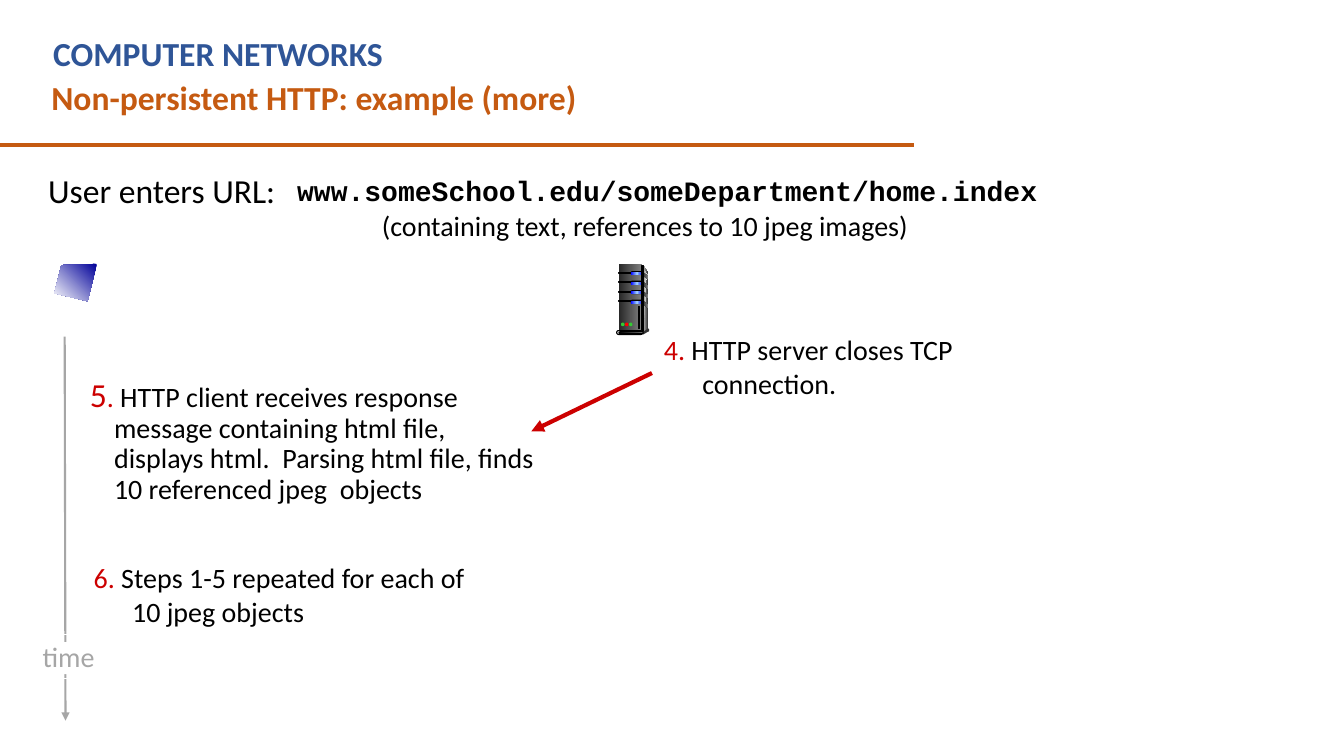
"""Build the slide on the last steps of a non-persistent HTTP exchange."""
from lxml.etree import SubElement
from pptx import Presentation
from pptx.dml.color import RGBColor
from pptx.enum.shapes import MSO_CONNECTOR, MSO_SHAPE
from pptx.enum.text import MSO_ANCHOR, MSO_AUTO_SIZE, PP_ALIGN
from pptx.oxml.ns import qn
from pptx.util import Cm, Pt

BLACK, WHITE, RED, GREY = "000000", "FFFFFF", "CC0000", "A6A6A6"
ORANGE, BLUE, DARK, GREEN = "C55A11", "2F5597", "333333", "33CC33"
METAL = ("292929", "808080")

TITLE = ("Non-persistent HTTP: example (more)", (1.04, 1.8, 22.23, 1.27))
COURSE = ("COMPUTER NETWORKS", (1.09, 0.71, 20.83, 1.27))
PROMPT = ("User enters URL:", (0.58, 4.27, 22.07, 1.3))
CONTENTS = ("(containing text, references to 10 jpeg images)", (7.39, 5.13, 17.73, 1.12))
URL = ("www.someSchool.edu/someDepartment/home.index", (7.24, 4.37, 22.07, 1.3))
TIME = ("time", (0.79, 15.98, 1.88, 1.12))
TIME_GAP = (0.76, 16.18, 1.83, 0.81)

STEP_5 = ([("5", 24, RED), (".", 20, RED),
           (" HTTP client receives response message containing html file, "
            "displays html.  Parsing html file, finds 10 referenced jpeg  objects", 20, BLACK)],
          (1.63, 9.4, 12.14, 5.59))
SIDE_STEPS = [
    ([("6.", 20, RED), (" Steps 1-5 repeated for each of 10 jpeg objects", 20, BLACK)],
     (2.11, 14, 10.59, 1.85)),
    ([("4.", 20, RED), (" HTTP server closes TCP connection.", 20, BLACK)],
     (16.48, 8.26, 10.59, 2.03)),
]

LINES = [
    ((0, 3.66, 23.04, 3.66), ORANGE, 3, False),
    ((16.43, 9.4, 13.39, 10.87), RED, 3, True),
    ((1.63, 8.48, 1.65, 18.16), GREY, 1.5, True),
]

SCREEN = [(2.44, 6.65), (1.55, 6.68), (1.37, 7.39), (2.21, 7.59)]
SERVER_SIDE = [(16.21, 6.68), (16.33, 6.88), (16.33, 8.28), (16.18, 8.36)]
SERVER_PANEL = [(16.21, 6.78), (16.31, 6.91), (16.21, 8.31)]
SERVER_FOOT = [(16.21, 8.36), (16.21, 8.43), (16.33, 8.36), (16.33, 8.28)]
BAY_TOP, BAY_STEP, BAY_COUNT = 6.86, 0.24, 4
LAMPS = [GREEN, "FF0000", GREEN]


def color(value):
    return RGBColor.from_string(value)


def paint(shape, fill=None, line=None, angle=0):
    """Fill with one colour or an even gradient, and outline if asked."""
    shape.shadow.inherit = False
    if fill is None:
        shape.fill.background()
    elif isinstance(fill, str):
        shape.fill.solid()
        shape.fill.fore_color.rgb = color(fill)
    else:
        shape.fill.gradient()
        shape.fill.gradient_angle = (360 - angle) % 360
        stops = shape._element.spPr.find(qn("a:gradFill")).find(qn("a:gsLst"))
        for stop in list(stops):
            stops.remove(stop)
        for index, value in enumerate(fill):
            position = str(100000 * index // (len(fill) - 1))
            stop = SubElement(stops, qn("a:gs"), pos=position)
            SubElement(stop, qn("a:srgbClr"), val=value)
    if line:
        shape.line.color.rgb = color(line)
        shape.line.width = Pt(0.75)
    else:
        shape.line.fill.background()


def add_part(shapes, kind, box, fill=None, line=None):
    shape = shapes.add_shape(kind, *map(Cm, box))
    if kind == MSO_SHAPE.ROUNDED_RECTANGLE:
        shape.adjustments[0] = 0.5
    paint(shape, fill, line)
    return shape


def add_outline(shapes, points, fill, angle=0):
    corners = [(Cm(x), Cm(y)) for x, y in points]
    builder = shapes.build_freeform(*corners[0])
    builder.add_line_segments(corners[1:], close=True)
    paint(builder.convert_to_shape(), fill, angle=angle)


def add_line(shapes, ends, line, width, arrow):
    connector = shapes.add_connector(MSO_CONNECTOR.STRAIGHT, *map(Cm, ends))
    connector.line.color.rgb = color(line)
    connector.line.width = Pt(width)
    if arrow:
        SubElement(connector.line._get_or_add_ln(), qn("a:tailEnd"), type="triangle")
    SubElement(connector._element.spPr, qn("a:effectLst"))


def write(shape, runs, box, hang=None, spacing=1.0, bold=False,
          font="Calibri", align=PP_ALIGN.LEFT, wrap=True):
    """Place a text shape and write its single paragraph of runs."""
    shape.left, shape.top, shape.width, shape.height = map(Cm, box)
    frame = shape.text_frame
    frame.auto_size = MSO_AUTO_SIZE.NONE
    frame.word_wrap = wrap
    frame.vertical_anchor = MSO_ANCHOR.TOP
    paragraph = frame.paragraphs[0]
    properties = paragraph._p.get_or_add_pPr()
    margin, indent = hang or (0, 0)
    properties.set("marL", str(Cm(margin)))
    properties.set("indent", str(Cm(indent)))
    SubElement(properties, qn("a:buNone"))
    paragraph.alignment = align
    paragraph.line_spacing = spacing
    paragraph.space_before = Pt(0)
    paragraph.font.name = font
    paragraph.font.bold = bold
    same_size = len({size for _, size, _ in runs}) == 1
    same_color = len({value for _, _, value in runs}) == 1
    if same_size:
        paragraph.font.size = Pt(runs[0][1])
    if same_color:
        paragraph.font.color.rgb = color(runs[0][2])
    for text, size, value in runs:
        run = paragraph.add_run()
        run.text = text
        if not same_size:
            run.font.size = Pt(size)
        if not same_color:
            run.font.color.rgb = color(value)


def add_text(shapes, runs, box, **style):
    write(shapes.add_textbox(*map(Cm, box)), runs, box, **style)


def add_server(shapes):
    rectangle, rounded, oval = MSO_SHAPE.RECTANGLE, MSO_SHAPE.ROUNDED_RECTANGLE, MSO_SHAPE.OVAL
    add_outline(shapes, SERVER_SIDE, ("DDDDDD", DARK))
    add_part(shapes, rectangle, (15.6, 6.65, 0.58, 1.7), METAL)
    add_outline(shapes, SERVER_PANEL, ("808080", "F8F8F8"))
    for index in range(BAY_COUNT):
        top = BAY_TOP + index * BAY_STEP
        add_part(shapes, rectangle, (15.6, top, 0.33, 0.03), BLACK, BLACK)
        add_part(shapes, rounded, (15.89, top - 0.03, 0.33, 0.1), BLACK)
        add_part(shapes, rounded, (15.9, top, 0.3, 0.08), ("0000FF", "99CCFF", "0000FF"))
        vent = [(16.2, top), (16.33, top + 0.1), (16.33, top + 0.18), (16.2, top + 0.08)]
        add_outline(shapes, vent, METAL)
    add_part(shapes, rectangle, (16.18, 6.68, 0.03, 1.7), (DARK, "DDDDDD", DARK), BLACK)
    add_part(shapes, oval, (16.33, 8.28, 0.03, 0.08), DARK)
    add_outline(shapes, SERVER_FOOT, DARK)
    add_part(shapes, rounded, (15.54, 8.33, 0.66, 0.1), "DDDDDD", BLACK)
    add_part(shapes, rounded, (15.6, 8.36, 0.61, 0.05), (BLACK, "808080"), BLACK)
    for index, lamp in enumerate(LAMPS):
        add_part(shapes, oval, (15.65 + 0.1 * index, 8.13, 0.09, 0.09), lamp)
    add_part(shapes, rectangle, (16.08, 7.72, 0.05, 0.56), "292929", BLACK)


def main():
    presentation = Presentation()
    presentation.slide_width, presentation.slide_height = Cm(33.87), Cm(19.05)
    slide = presentation.slides.add_slide(presentation.slide_layouts[3])
    shapes = slide.shapes
    title, prompt, step_5 = slide.placeholders

    write(title, [(TITLE[0], 24, ORANGE)], TITLE[1], bold=True)
    write(prompt, [(PROMPT[0], 24, BLACK)], PROMPT[1], hang=(0.99, -0.61), spacing=0.9)
    write(step_5, *STEP_5, hang=(0.99, -0.61), spacing=0.9)
    add_text(shapes, [(COURSE[0], 24, BLUE)], COURSE[1], bold=True)
    add_text(shapes, [(CONTENTS[0], 20, BLACK)], CONTENTS[1], align=PP_ALIGN.CENTER)
    add_text(shapes, [(URL[0], 20, BLACK)], URL[1], hang=(0.97, -0.97),
             spacing=0.85, bold=True, font="Courier New")
    for runs, box in SIDE_STEPS:
        add_text(shapes, runs, box, hang=(0.97, -0.97))

    add_outline(shapes.add_group_shape().shapes, SCREEN, ("000099", WHITE), angle=135)
    add_server(shapes.add_group_shape().shapes)
    for line in LINES:
        add_line(shapes, *line)
    add_part(shapes, MSO_SHAPE.RECTANGLE, TIME_GAP, WHITE)
    label = add_part(shapes, MSO_SHAPE.RECTANGLE, TIME[1], line=WHITE)
    write(label, [(TIME[0], 20, GREY)], TIME[1], align=PP_ALIGN.CENTER, wrap=False)
    presentation.save("out.pptx")


if __name__ == "__main__":
    main()
